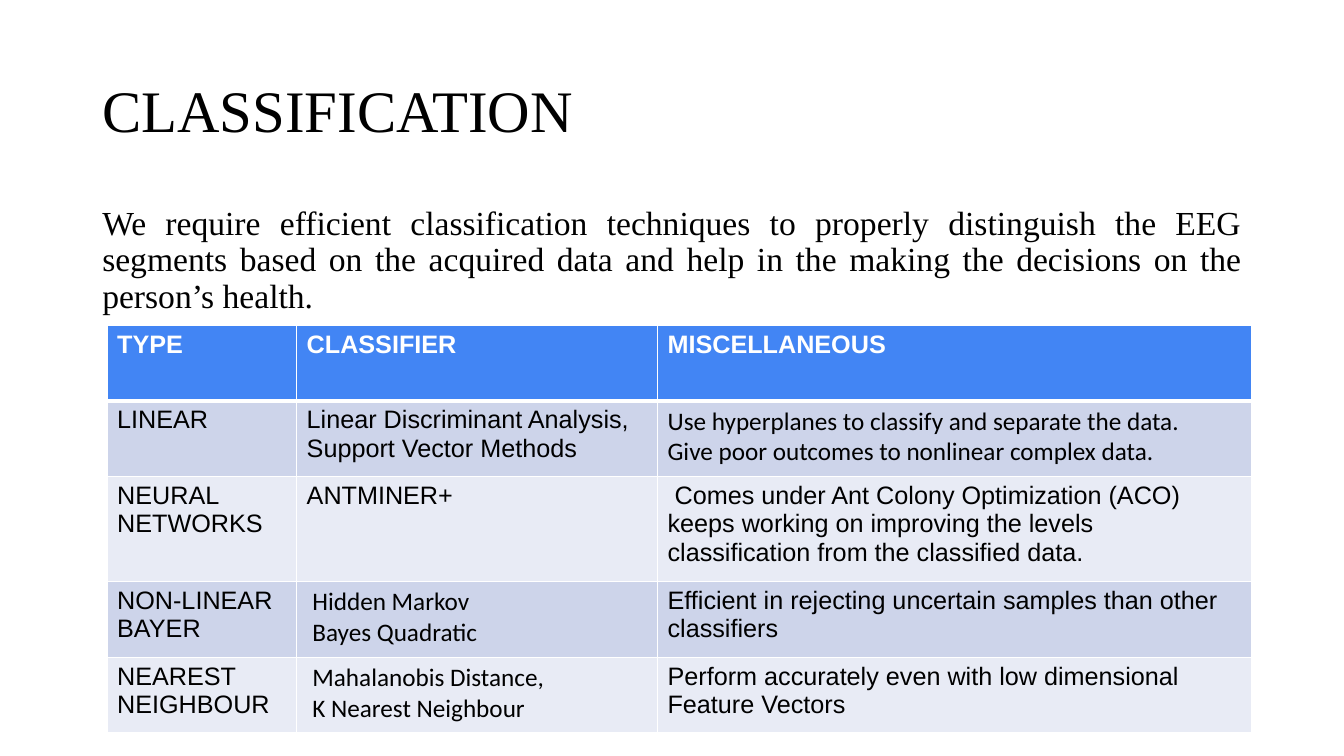
"""Build a slide with a table of EEG classification techniques."""
import lxml.etree
import pptx
import pptx.dml.color
import pptx.enum.text
import pptx.oxml.ns
import pptx.util

Pt = pptx.util.Pt
ALIGN = pptx.enum.text.PP_ALIGN
ANCHOR = pptx.enum.text.MSO_ANCHOR
SERIF, SANS, HUMAN = "Times New Roman", "Arial", "Calibri"
COLORS = {"ink": "000000", "white": "FFFFFF", "head": "4285F4",
          "odd": "CDD4EA", "even": "E8EBF5"}
LEFT, WIDTH = 66, 828
COLS = [135.4, 257.8, 424]
ROWS = [54, 54, 75, 54, 54]
INTRO = ("We require efficient classification techniques to properly distinguish "
         "the EEG segments based on the acquired data and help in the making the "
         "decisions on the person’s health.")
CELLS = [
    ["TYPE", "CLASSIFIER", "MISCELLANEOUS"],
    ["LINEAR", "Linear Discriminant Analysis, Support Vector Methods",
     "Use hyperplanes to classify and separate the data.\n"
     "Give poor outcomes to nonlinear complex data."],
    ["NEURAL NETWORKS", "ANTMINER+",
     " Comes under Ant Colony Optimization (ACO)\n"
     "keeps working on improving the levels classification from the classified data."],
    ["NON-LINEAR BAYER", " Hidden Markov\n Bayes Quadratic",
     "Efficient in rejecting uncertain samples than other classifiers"],
    ["NEAREST NEIGHBOUR", " Mahalanobis Distance,\n K Nearest Neighbour",
     "Perform accurately even with low dimensional Feature Vectors"],
]
HUMAN_CELLS = {(1, 2), (3, 1), (4, 1)}


def rgb(name):
    return pptx.dml.color.RGBColor.from_string(COLORS[name])


def write(frame, text, face, size, color="ink", bold=False, align=ALIGN.LEFT, lead=1.0):
    frame.text = text
    for para in frame.paragraphs:
        para.alignment = align
        para.line_spacing = lead
        font = para.font
        font.name, font.size, font.bold = face, Pt(size), bold
        font.color.rgb = rgb(color)


def place(shape, top, height):
    shape.left, shape.top = Pt(LEFT), Pt(top)
    shape.width, shape.height = Pt(WIDTH), Pt(height)


def add_title(slide, text):
    title = slide.shapes.title
    place(title, 28.75, 104.4)
    title.text_frame.vertical_anchor = ANCHOR.MIDDLE
    write(title.text_frame, text, SERIF, 42, lead=0.9)


def add_intro(slide, text):
    box = slide.shapes.add_textbox(0, 0, 0, 0)
    place(box, 144, 86)
    box.text_frame.word_wrap = True
    write(box.text_frame, text, SERIF, 24, align=ALIGN.JUSTIFY, lead=0.9)


def set_edges(cell, base):
    props = cell._tc.get_or_add_tcPr()
    qn = pptx.oxml.ns.qn
    for spot, (side, width) in enumerate([("L", 1), ("R", 1), ("T", 1), ("B", base)]):
        line = lxml.etree.Element(qn(f"a:ln{side}"), w=str(Pt(width)))
        fill = lxml.etree.SubElement(line, qn("a:solidFill"))
        lxml.etree.SubElement(fill, qn("a:srgbClr"), val=COLORS["white"])
        props.insert(spot, line)


def add_grid(slide):
    table = slide.shapes.add_table(
        len(ROWS), len(COLS), Pt(76.5), Pt(232.5), Pt(sum(COLS)), Pt(sum(ROWS))).table
    for col, width in zip(table.columns, COLS):
        col.width = Pt(width)
    for r, (row, height) in enumerate(zip(table.rows, ROWS)):
        row.height = Pt(height)
        head = r == 0
        shade = "head" if head else "odd" if r % 2 else "even"
        for c, cell in enumerate(row.cells):
            face = HUMAN if (r, c) in HUMAN_CELLS else SANS
            write(cell.text_frame, CELLS[r][c], face, 18,
                  "white" if head else "ink", head)
            cell.fill.solid()
            cell.fill.fore_color.rgb = rgb(shade)
            set_edges(cell, 3 if head else 1)
            if r == 1:
                cell._tc.tcPr.find(pptx.oxml.ns.qn("a:lnT")).set("w", str(Pt(3)))


def main():
    deck = pptx.Presentation()
    deck.slide_width, deck.slide_height = Pt(960), Pt(540)
    slide = deck.slides.add_slide(deck.slide_layouts[5])
    add_title(slide, "CLASSIFICATION")
    add_intro(slide, INTRO)
    add_grid(slide)
    deck.save("out.pptx")


if __name__ == "__main__":
    main()
